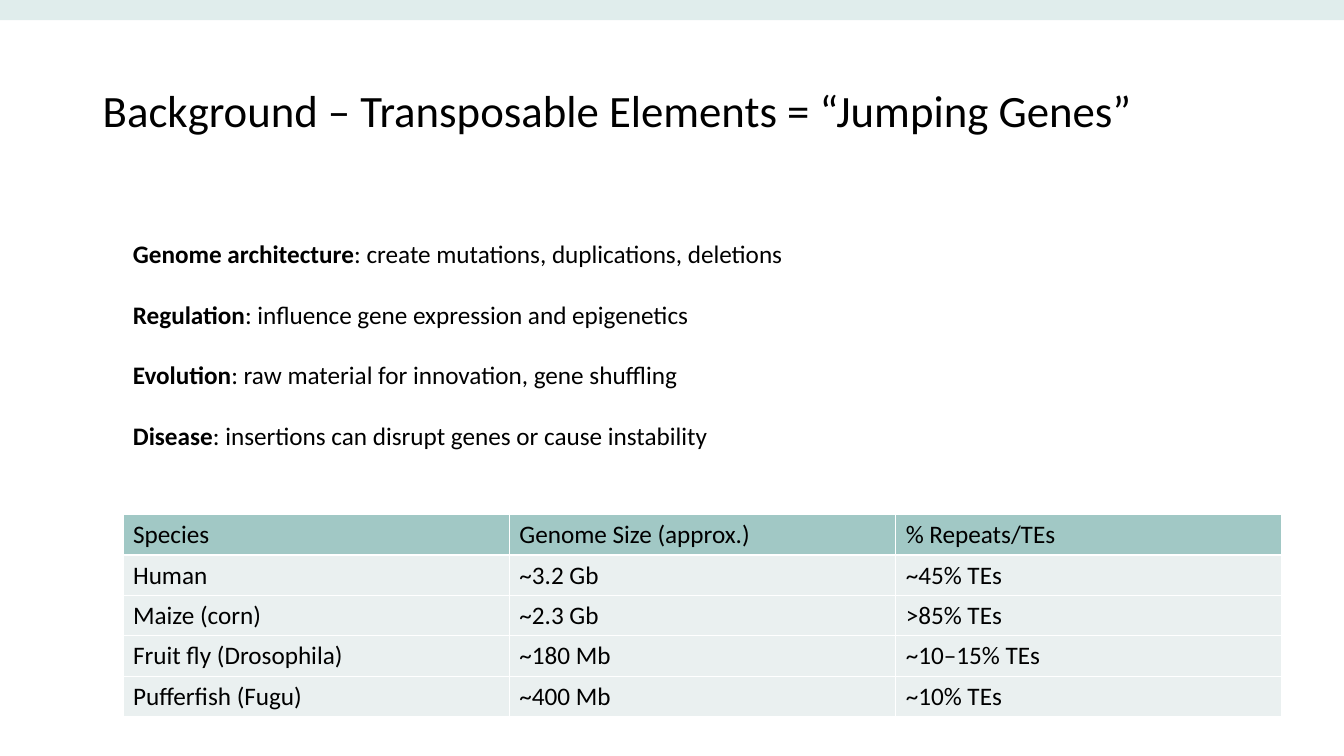
from lxml import etree
from pptx import Presentation, util as u
from pptx.dml.color import RGBColor
from pptx.enum import shapes, text
from pptx.oxml import ns

COLORS = {"ink": "000000", "band": "E0EDEC", "header": "A1C8C5", "body": "EAF0F0", "border": "FFFFFF"}
FONT = "Calibri"
TITLE = "Background – Transposable Elements = “Jumping Genes”"
ROLES = [
    ("Genome architecture", "create mutations, duplications, deletions"),
    ("Regulation", "influence gene expression and epigenetics"),
    ("Evolution", "raw material for innovation, gene shuffling"),
    ("Disease", "insertions can disrupt genes or cause instability"),
]
GENOMES = [
    ("Species", "Genome Size (approx.)", "% Repeats/TEs"),
    ("Human", "~3.2 Gb", "~45% TEs"),
    ("Maize (corn)", "~2.3 Gb", ">85% TEs"),
    ("Fruit fly (Drosophila)", "~180 Mb", "~10–15% TEs"),
    ("Pufferfish (Fugu)", "~400 Mb", "~10% TEs"),
]


def paint(fill, name):
    """Give a fill one solid palette colour."""
    fill.solid()
    fill.fore_color.rgb = RGBColor.from_string(COLORS[name])


def style(para, size):
    """Set the font of a whole paragraph."""
    para.font.name = FONT
    para.font.size = u.Pt(size)
    para.font.color.rgb = RGBColor.from_string(COLORS["ink"])


def add_band(page, width):
    """Draw the pale strip along the top edge."""
    band = page.shapes.add_shape(shapes.MSO_SHAPE.RECTANGLE, 0, 0, width, u.Cm(0.51))
    band.shadow.inherit = False
    paint(band.fill, "band")
    band.line.fill.background()


def add_text_frame(page, left, top, width, height):
    """Add a wrapping text box and return its frame."""
    box = page.shapes.add_textbox(u.Cm(left), u.Cm(top), u.Cm(width), u.Cm(height))
    box.text_frame.word_wrap = True
    return box.text_frame


def add_title(page):
    """Add the slide title."""
    frame = add_text_frame(page, 2.34, 1.02, 29.21, 3.68)
    frame.vertical_anchor = text.MSO_ANCHOR.MIDDLE
    para = frame.paragraphs[0]
    para.text = TITLE
    para.line_spacing = 0.9
    style(para, 32)


def add_roles(page):
    """List the roles, each with a bold lead-in."""
    frame = add_text_frame(page, 3.1, 5.89, 16.94, 5.64)
    for index, (role, effect) in enumerate(ROLES):
        para = frame.add_paragraph() if index else frame.paragraphs[0]
        para.space_before = u.Pt(21.6 if index else 0)
        style(para, 18)
        span = para.add_run()
        span.text = role
        span.font.bold = True
        para.add_run().text = f": {effect}"


def add_borders(cell):
    """Give a cell thin borders on all four sides."""
    properties = cell._tc.get_or_add_tcPr()
    for position, side in enumerate(("lnL", "lnR", "lnT", "lnB")):
        line = etree.Element(ns.qn(f"a:{side}"), w=str(u.Pt(1)))
        fill = etree.SubElement(line, ns.qn("a:solidFill"))
        etree.SubElement(fill, ns.qn("a:srgbClr"), val=COLORS["border"])
        properties.insert(position, line)


def add_genome_table(page):
    """Add the table of genome sizes and repeat shares."""
    rows, columns = len(GENOMES), len(GENOMES[0])
    table = page.shapes.add_table(
        rows, columns, u.Cm(3.1), u.Cm(12.97), u.Cm(29.21), u.Cm(5.08)
    ).table
    table.first_row = table.horz_banding = False
    for row, values in enumerate(GENOMES):
        for column, value in enumerate(values):
            cell = table.cell(row, column)
            cell.text = value
            cell.vertical_anchor = text.MSO_ANCHOR.MIDDLE
            style(cell.text_frame.paragraphs[0], 18)
            paint(cell.fill, "body" if row else "header")
            add_borders(cell)


def main():
    """Build the slide and save it."""
    deck = Presentation()
    deck.slide_width, deck.slide_height = u.Cm(33.87), u.Cm(19.05)
    page = deck.slides.add_slide(deck.slide_layouts[6])
    add_title(page)
    add_band(page, deck.slide_width)
    add_roles(page)
    add_genome_table(page)
    deck.save("out.pptx")


if __name__ == "__main__":
    main()
